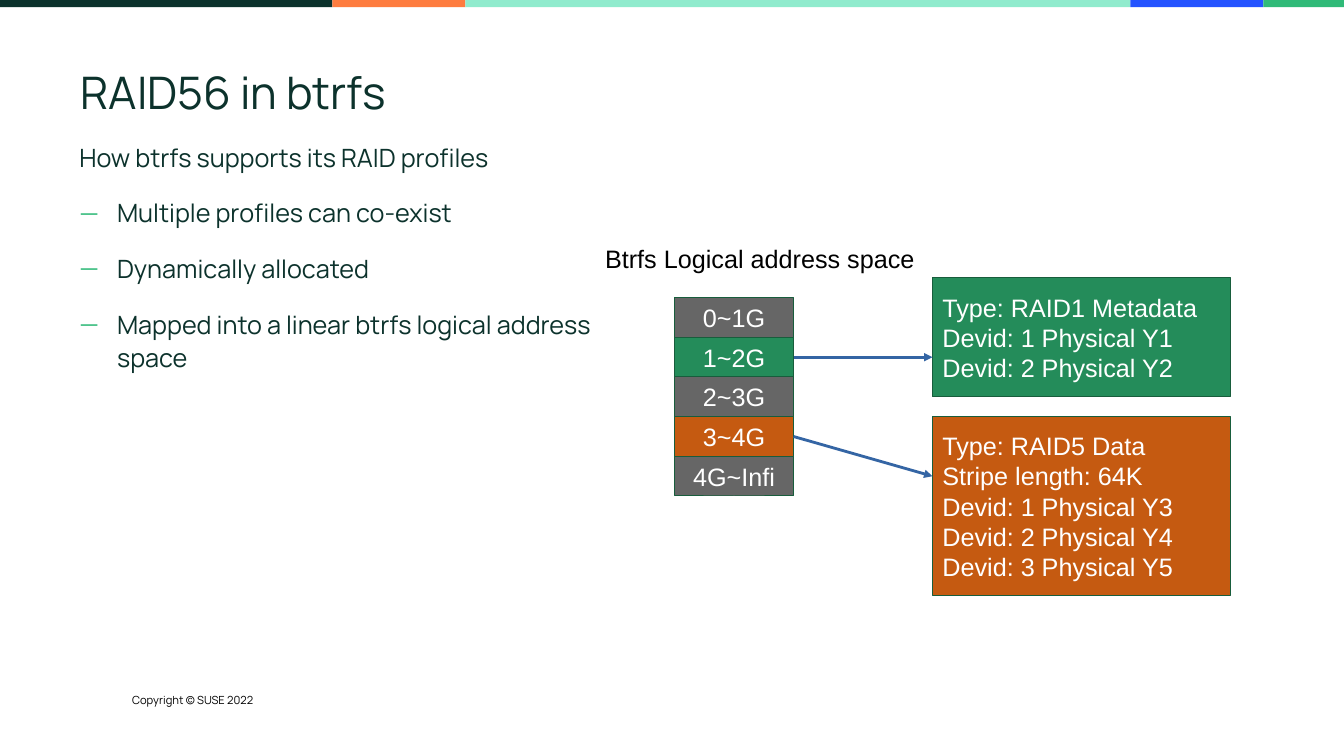
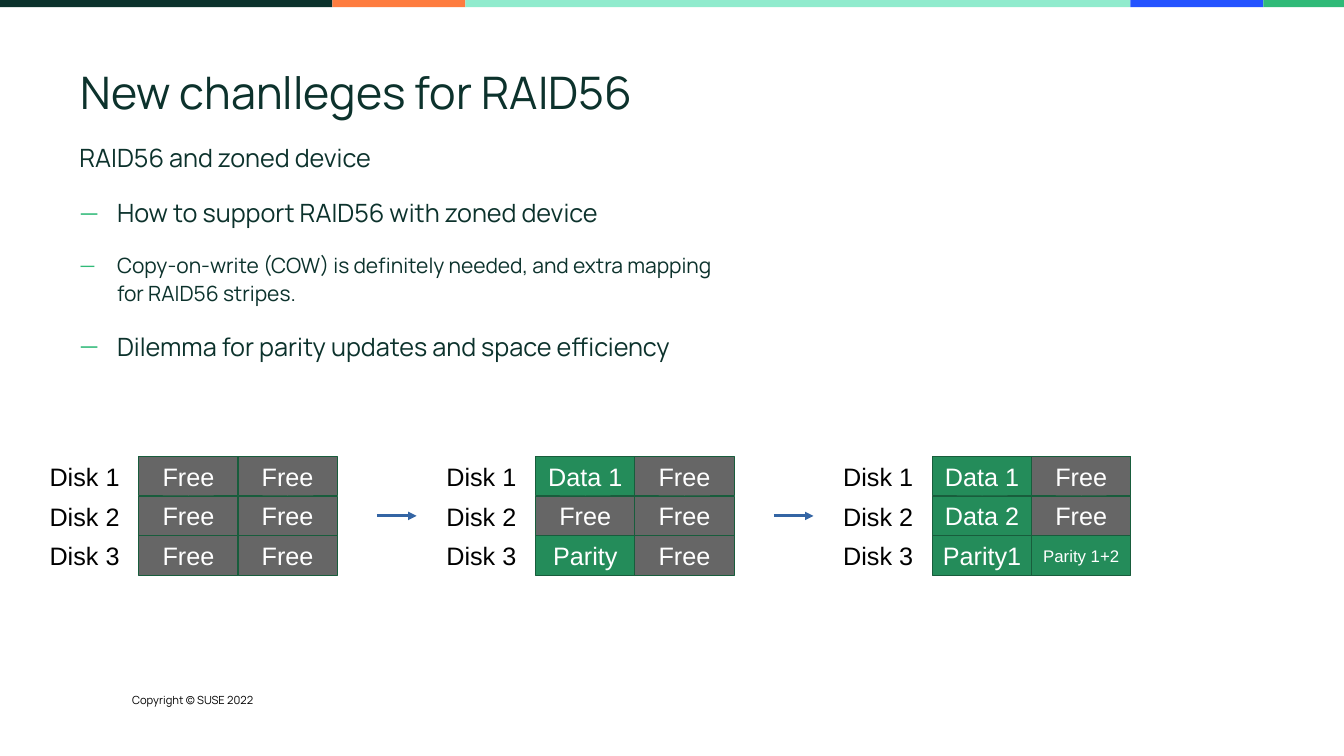
from dataclasses import dataclass
from typing import NamedTuple

from lxml import etree
from pptx import Presentation
from pptx.dml.color import RGBColor
from pptx.enum.shapes import MSO_CONNECTOR, MSO_SHAPE
from pptx.enum.text import MSO_ANCHOR, MSO_AUTO_SIZE, PP_ALIGN
from pptx.oxml.ns import qn
from pptx.util import Cm, Pt

RECTANGLE = MSO_SHAPE.RECTANGLE
STRAIGHT = MSO_CONNECTOR.STRAIGHT
TOP, MIDDLE = MSO_ANCHOR.TOP, MSO_ANCHOR.MIDDLE
LEFT, CENTER = PP_ALIGN.LEFT, PP_ALIGN.CENTER
NO_AUTOFIT = MSO_AUTO_SIZE.NONE
RIGHT_SITE = 3
TITLE_AND_CONTENT = 1


@dataclass(frozen=True)
class Theme:
    heading_font: str = "Manrope"
    diagram_font: str = "Arial"
    pine: str = "0C322C"
    jungle: str = "30BA78"
    mint: str = "90EBCD"
    persimmon: str = "FE7C3F"
    waterhole: str = "2453FF"
    unused: str = "666666"
    metadata: str = "248C5A"
    data: str = "C55A11"
    outline: str = "185D3C"
    arrow: str = "3465A4"
    black: str = "000000"
    white: str = "FFFFFF"
    title_size: float = 32
    text_size: float = 18
    detail_size: float = 15
    small_size: float = 12
    footer_size: float = 8


class Box(NamedTuple):
    left: float
    top: float
    width: float
    height: float

    def lengths(self):
        return [Cm(value) for value in self]


THEME = Theme()
SLIDE_WIDTH, SLIDE_HEIGHT = 33.87, 19.05
TITLE_BOX = Box(2.03, 1.75, 29.79, 1.27)
FOOTER_BOX = Box(3.33, 17.48, 3.4, 0.33)
BODY_LEFT, BODY_TOP, BODY_HEIGHT = 2, 3.5, 6.8
BAND_HEIGHT = 0.18
BANDS = [
    (8.38, THEME.pine),
    (3.35, THEME.persimmon),
    (16.76, THEME.mint),
    (3.35, THEME.waterhole),
    (2.03, THEME.jungle),
]
ROW_HEIGHT = 1
CELL_WIDTH = 2.5

ADDRESS_RANGES = [
    ("0~1G", THEME.unused),
    ("1~2G", THEME.metadata),
    ("2~3G", THEME.unused),
    ("3~4G", THEME.data),
    ("4G~Infi", THEME.unused),
]
METADATA_CHUNK = ["Type: RAID1 Metadata", "Devid: 1 Physical Y1", "Devid: 2 Physical Y2"]
DATA_CHUNK = [
    "Type: RAID5 Data",
    "Stripe length: 64K",
    "Devid: 1 Physical Y3",
    "Devid: 2 Physical Y4",
    "Devid: 3 Physical Y5",
]
STRIPE_STAGES = [
    [("Free", "Free"), ("Free", "Free"), ("Free", "Free")],
    [("Data 1", "Free"), ("Free", "Free"), ("Parity", "Free")],
    [("Data 1", "Free"), ("Data 2", "Free"), ("Parity1", "Parity 1+2")],
]


def add_run(paragraph, text, size, font, color):
    run = paragraph.add_run()
    run.text = text
    run.font.size = Pt(size)
    run.font.name = font
    run.font.color.rgb = RGBColor.from_string(color)


def clear_margins(frame):
    frame.margin_left = frame.margin_top = frame.margin_right = frame.margin_bottom = 0


def place(shape, box):
    shape.left, shape.top, shape.width, shape.height = box.lengths()


def add_rectangle(slide, box, fill):
    rectangle = slide.shapes.add_shape(RECTANGLE, *box.lengths())
    rectangle.shadow.inherit = False
    rectangle.fill.solid()
    rectangle.fill.fore_color.rgb = RGBColor.from_string(fill)
    rectangle.line.fill.background()
    return rectangle


def add_block(slide, box, lines, fill, size=THEME.text_size, align=CENTER):
    block = add_rectangle(slide, box, fill)
    block.line.color.rgb = RGBColor.from_string(THEME.outline)
    block.line.width = Pt(0)
    frame = block.text_frame
    frame.word_wrap = True
    frame.vertical_anchor = MIDDLE
    for index, line in enumerate(lines):
        paragraph = frame.add_paragraph() if index else frame.paragraphs[0]
        paragraph.alignment = align
        add_run(paragraph, line, size, THEME.diagram_font, THEME.white)
    return block


def add_label(slide, box, text, size=THEME.text_size, font=THEME.diagram_font, wrap=True):
    frame = slide.shapes.add_textbox(*box.lengths()).text_frame
    frame.word_wrap = wrap
    add_run(frame.paragraphs[0], text, size, font, THEME.black)
    return frame


def add_arrow(slide, start, end):
    points = [Cm(value) for value in (*start, *end)]
    arrow = slide.shapes.add_connector(STRAIGHT, *points)
    arrow.line.color.rgb = RGBColor.from_string(THEME.arrow)
    arrow.line.width = Pt(0)
    properties = arrow.element.spPr
    etree.SubElement(properties.find(qn("a:ln")), qn("a:tailEnd"), type="triangle")
    etree.SubElement(properties, qn("a:effectLst"))
    return arrow


def set_bullet(paragraph, bulleted):
    properties = paragraph._p.get_or_add_pPr()
    indent = Cm(0.95) if bulleted else 0
    properties.set("marL", str(indent))
    properties.set("indent", str(-indent))
    if not bulleted:
        etree.SubElement(properties, qn("a:buNone"))
        return
    color = etree.SubElement(properties, qn("a:buClr"))
    etree.SubElement(color, qn("a:srgbClr"), val=THEME.jungle)
    etree.SubElement(properties, qn("a:buFont"), typeface=THEME.heading_font)
    etree.SubElement(properties, qn("a:buChar"), char="—")


def dress_layout(layout, slide):
    for placeholder in list(layout.placeholders):
        if placeholder.placeholder_format.idx >= 10:
            placeholder.element.getparent().remove(placeholder.element)
    title, body = layout.placeholders
    place(title, TITLE_BOX)
    place(body, Box(BODY_LEFT, BODY_TOP, TITLE_BOX.width, BODY_HEIGHT))

    shared = []
    left = 0
    for width, color in BANDS:
        shared.append(add_rectangle(slide, Box(left, 0, width, BAND_HEIGHT), color))
        left += width
    footer = add_label(slide, FOOTER_BOX, "Copyright © SUSE 2022",
                       THEME.footer_size, THEME.heading_font, wrap=False)
    clear_margins(footer)
    for shape in [*shared, slide.shapes[-1]]:
        layout.shapes.element.append(shape.element)


def write_title(slide, text):
    place(slide.shapes.title, TITLE_BOX)
    frame = slide.shapes.title.text_frame
    clear_margins(frame)
    frame.auto_size = NO_AUTOFIT
    frame.vertical_anchor = MIDDLE
    paragraph = frame.paragraphs[0]
    paragraph.alignment = LEFT
    paragraph.line_spacing = 0.9
    add_run(paragraph, text, THEME.title_size, THEME.heading_font, THEME.pine)


def write_body(slide, width, heading, bullets):
    body = slide.placeholders[1]
    place(body, Box(BODY_LEFT, BODY_TOP, width, BODY_HEIGHT))
    frame = body.text_frame
    clear_margins(frame)
    frame.auto_size = NO_AUTOFIT
    frame.vertical_anchor = TOP
    for index, (text, size) in enumerate([(heading, THEME.text_size), *bullets]):
        paragraph = frame.add_paragraph() if index else frame.paragraphs[0]
        set_bullet(paragraph, index > 0)
        paragraph.line_spacing = 1.1
        paragraph.space_before = Pt(10 if index else 0)
        paragraph.space_after = Pt(6)
        add_run(paragraph, text, size, THEME.heading_font, THEME.pine)


def draw_address_space(slide, box):
    add_label(slide, Box(box.left, box.top, 8.3, 0.97), "Btrfs Logical address space", wrap=False)
    ranges = {}
    for row, (text, fill) in enumerate(ADDRESS_RANGES):
        cell = Box(box.left + 2, box.top + 1.5 + row * ROW_HEIGHT, 3, ROW_HEIGHT)
        ranges[fill] = cell, add_block(slide, cell, [text], fill)

    chunk_width = 7.5
    chunk_left = box.left + box.width - chunk_width
    chunks = [
        (METADATA_CHUNK, THEME.metadata, 1, 3, 2),
        (DATA_CHUNK, THEME.data, 4.5, 4.5, 1.5),
    ]
    for lines, fill, offset, height, entry in chunks:
        chunk = Box(chunk_left, box.top + offset, chunk_width, height)
        add_block(slide, chunk, lines, fill, align=LEFT)
        cell, address_range = ranges[fill]
        start = cell.left + cell.width, cell.top + cell.height / 2
        arrow = add_arrow(slide, start, (chunk.left, chunk.top + entry))
        arrow.begin_connect(address_range, RIGHT_SITE)


def draw_disks(slide, box, stage):
    for row, blocks in enumerate(stage):
        top = box.top + row * ROW_HEIGHT
        add_label(slide, Box(box.left, top, CELL_WIDTH, ROW_HEIGHT), f"Disk {row + 1}")
        for column, text in enumerate(blocks, start=1):
            cell = Box(box.left + column * CELL_WIDTH, top, CELL_WIDTH, ROW_HEIGHT)
            fill = THEME.unused if text == "Free" else THEME.metadata
            size = THEME.small_size if len(text) > 7 else THEME.text_size
            add_block(slide, cell, [text], fill, size)


def draw_stripe_updates(slide, box):
    stage_width = 3 * CELL_WIDTH
    pitch = (box.width - stage_width) / (len(STRIPE_STAGES) - 1)
    arrow_top = box.top + box.height / 2
    for index, stage in enumerate(STRIPE_STAGES):
        left = box.left + index * pitch
        draw_disks(slide, Box(left, box.top, stage_width, box.height), stage)
        if index:
            add_arrow(slide, (left - 1.5, arrow_top), (left - 0.5, arrow_top))


def build_profiles_slide(slide):
    write_title(slide, "RAID56 in btrfs")
    write_body(slide, 14, "How btrfs supports its RAID profiles", [
        ("Multiple profiles can co-exist", THEME.text_size),
        ("Dynamically allocated", THEME.text_size),
        ("Mapped into a linear btrfs logical address space", THEME.text_size),
    ])
    draw_address_space(slide, Box(15, 6, 16, 9))


def build_zoned_slide(slide):
    write_title(slide, "New chanlleges for RAID56")
    write_body(slide, 16.5, "RAID56 and zoned device", [
        ("How to support RAID56 with zoned device", THEME.text_size),
        ("Copy-on-write (COW) is definitely needed, and extra mapping for RAID56 stripes.",
         THEME.detail_size),
        ("Dilemma for parity updates and space efficiency", THEME.text_size),
    ])
    draw_stripe_updates(slide, Box(1, 11.5, 27.5, 3))


def main():
    deck = Presentation()
    deck.slide_width, deck.slide_height = Cm(SLIDE_WIDTH), Cm(SLIDE_HEIGHT)
    layout = deck.slide_layouts[TITLE_AND_CONTENT]
    profiles, zoned = [deck.slides.add_slide(layout) for _ in range(2)]
    dress_layout(layout, profiles)
    build_profiles_slide(profiles)
    build_zoned_slide(zoned)
    deck.save("out.pptx")


if __name__ == "__main__":
    main()
